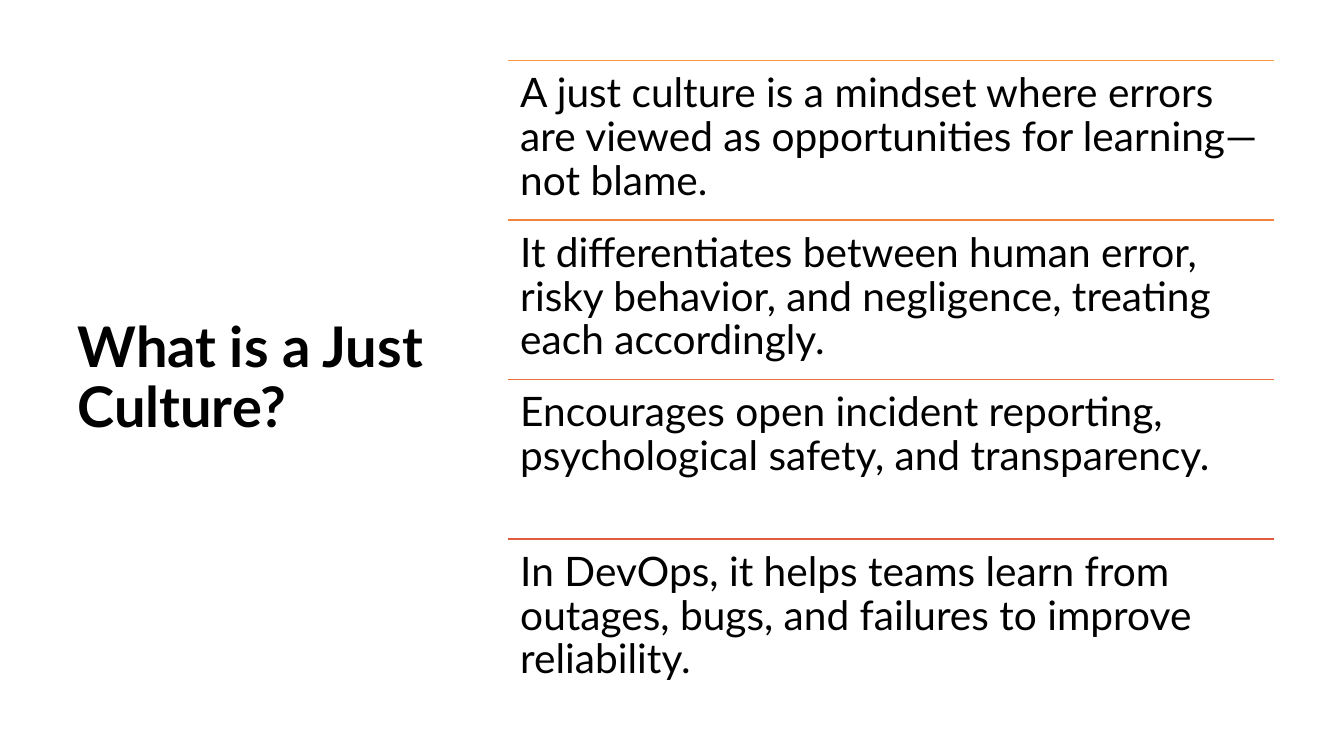
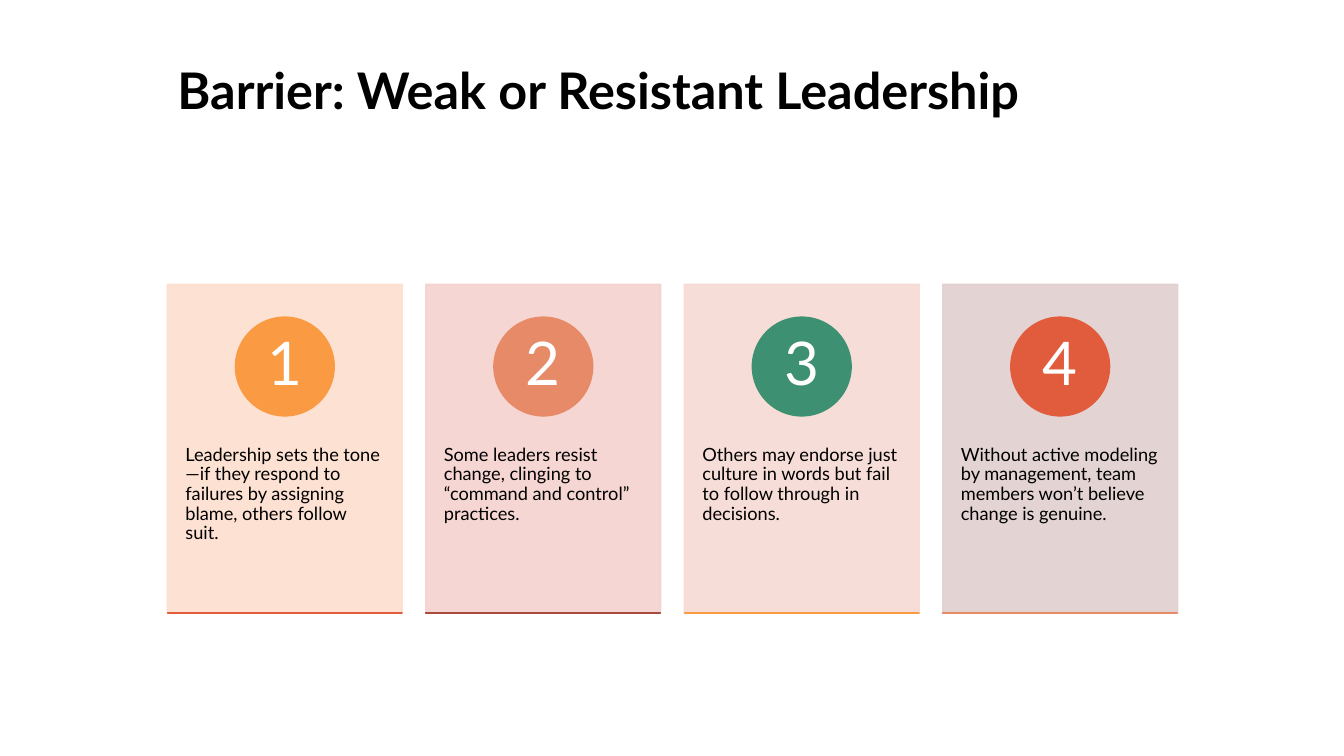
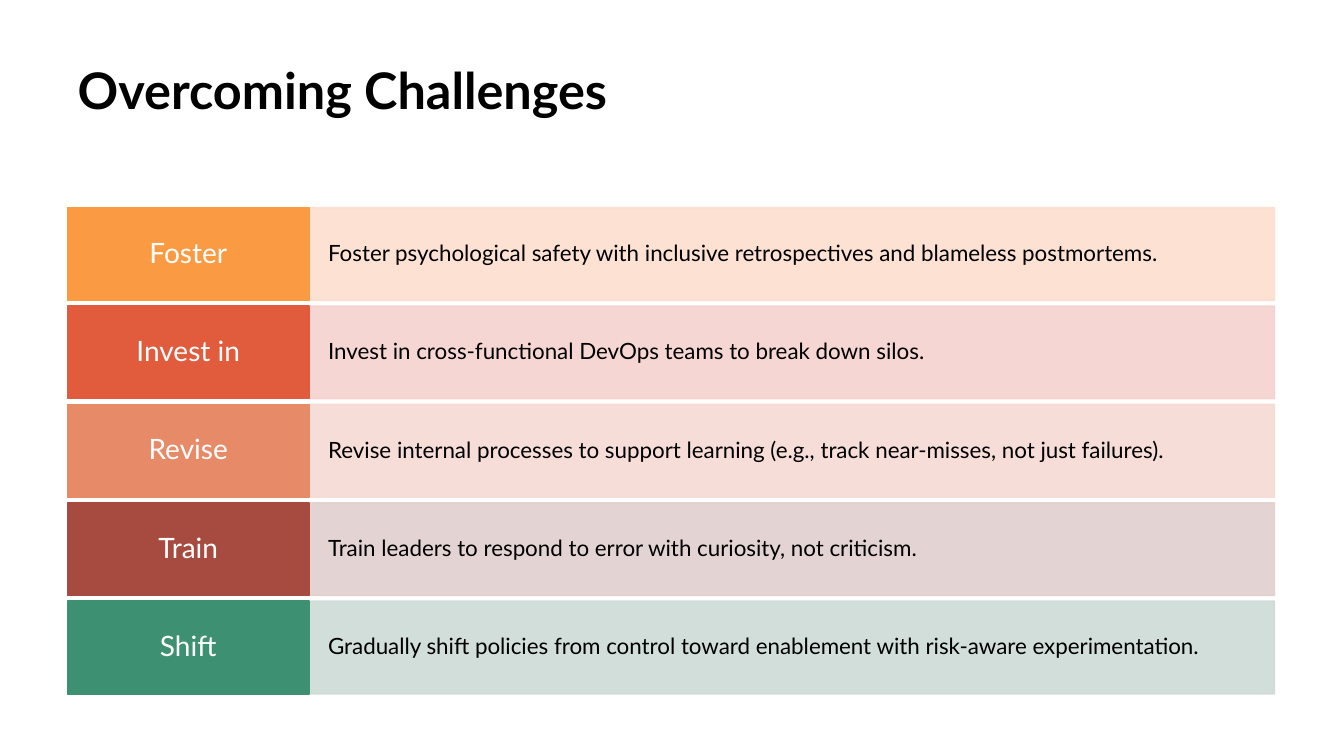
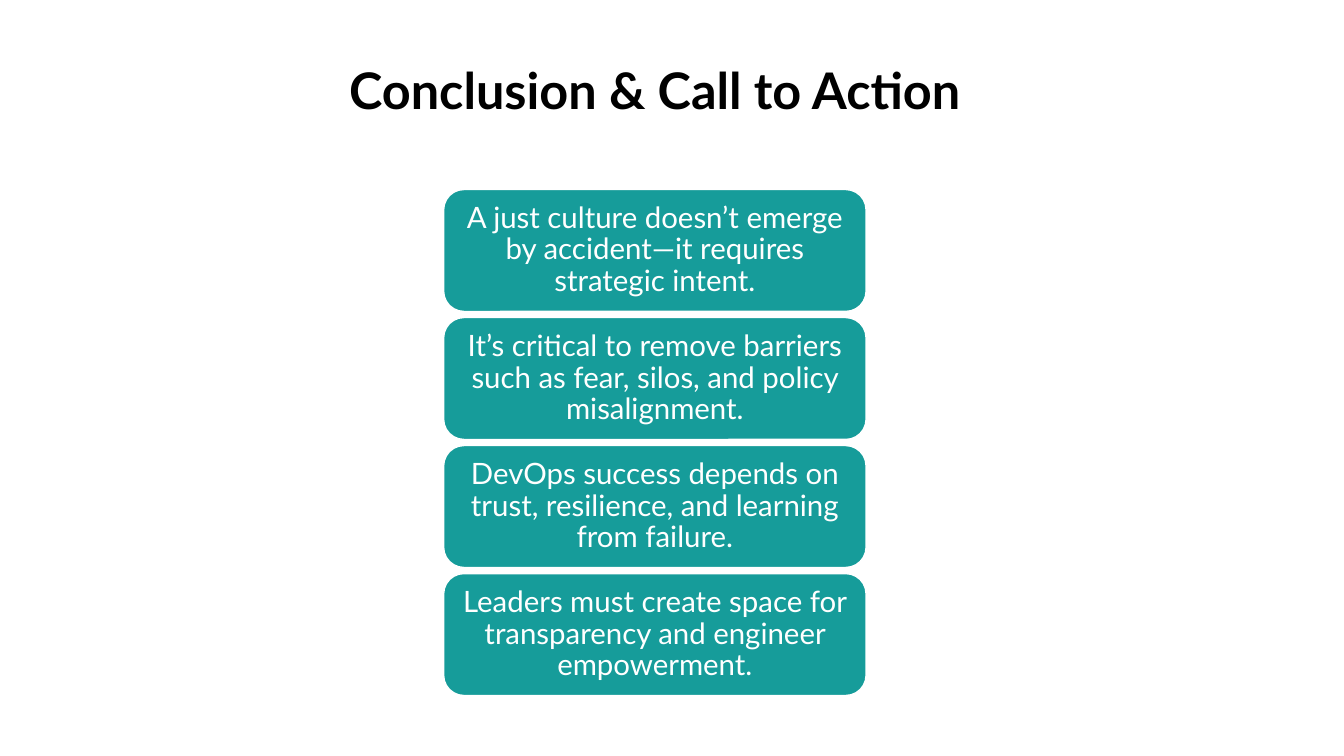
from lxml.etree import SubElement
from pptx import Presentation
from pptx.dml.color import RGBColor
from pptx.enum.shapes import MSO_CONNECTOR, MSO_SHAPE
from pptx.enum.text import MSO_ANCHOR, MSO_AUTO_SIZE, PP_ALIGN
from pptx.oxml.ns import qn
from pptx.util import Emu, Inches, Pt

FONT = "Lato"
BLACK = RGBColor(0x00, 0x00, 0x00)
WHITE = RGBColor(0xFF, 0xFF, 0xFF)
ORANGE = RGBColor(0xFA, 0x9A, 0x42)
AMBER = RGBColor(0xF2, 0x84, 0x40)
CORAL = RGBColor(0xEA, 0x6F, 0x3E)
RED = RGBColor(0xE1, 0x5C, 0x3D)
SALMON = RGBColor(0xE7, 0x8A, 0x67)
BRICK = RGBColor(0xA7, 0x4B, 0x40)
GREEN = RGBColor(0x3D, 0x90, 0x72)
TEAL = RGBColor(0x16, 0x9C, 0x9A)
PALE_ORANGE = RGBColor(0xFD, 0xDE, 0xCF)
PALE_RED = RGBColor(0xF4, 0xD2, 0xCE)
PALE_SALMON = RGBColor(0xF6, 0xDA, 0xD3)
PALE_BRICK = RGBColor(0xE1, 0xD0, 0xCF)
PALE_GREEN = RGBColor(0xCE, 0xDB, 0xD5)

WIDTH, HEIGHT = 13.33, 7.5
MARGIN, TOP = 0.67, 0.6
RIGHT = 12.64
TITLE_HEIGHT = 1.24

DEFINITION = [
    ("A just culture is a mindset where errors are viewed as opportunities "
     "for learning—not blame.", ORANGE),
    ("It differentiates between human error, risky behavior, and negligence, "
     "treating each accordingly.", AMBER),
    ("Encourages open incident reporting, psychological safety, and "
     "transparency.", CORAL),
    ("In DevOps, it helps teams learn from outages, bugs, and failures to "
     "improve reliability.", RED),
]
# Text, card colour, badge colour, base line colour
BARRIERS = [
    ("Leadership sets the tone—if they respond to failures by assigning "
     "blame, others follow suit.", PALE_ORANGE, ORANGE, RED),
    ("Some leaders resist change, clinging to “command and control” "
     "practices.", PALE_RED, SALMON, BRICK),
    ("Others may endorse just culture in words but fail to follow through in "
     "decisions.", PALE_SALMON, GREEN, ORANGE),
    ("Without active modeling by management, team members won’t believe "
     "change is genuine.", PALE_BRICK, RED, SALMON),
]
# Action, explanation, action colour, explanation colour
ACTIONS = [
    ("Foster", "Foster psychological safety with inclusive retrospectives and "
     "blameless postmortems.", ORANGE, PALE_ORANGE),
    ("Invest in", "Invest in cross-functional DevOps teams to break down "
     "silos.", RED, PALE_RED),
    ("Revise", "Revise internal processes to support learning (e.g., track "
     "near-misses, not just failures).", SALMON, PALE_SALMON),
    ("Train", "Train leaders to respond to error with curiosity, not "
     "criticism.", BRICK, PALE_BRICK),
    ("Shift", "Gradually shift policies from control toward enablement with "
     "risk-aware experimentation.", GREEN, PALE_GREEN),
]
CONCLUSIONS = [
    "A just culture doesn’t emerge by accident—it requires strategic intent.",
    "It’s critical to remove barriers such as fear, silos, and policy "
    "misalignment.",
    "DevOps success depends on trust, resilience, and learning from failure.",
    "Leaders must create space for transparency and engineer empowerment.",
]


def write(shape, text, size, color=BLACK, align=PP_ALIGN.LEFT,
          anchor=MSO_ANCHOR.TOP, insets=(0.1, 0.05, 0.1, 0.05), bold=False):
    frame = shape.text_frame
    frame.word_wrap = True
    frame.auto_size = MSO_AUTO_SIZE.NONE
    frame.vertical_anchor = anchor
    (frame.margin_left, frame.margin_top,
     frame.margin_right, frame.margin_bottom) = map(Inches, insets)
    frame.text = text
    paragraph = frame.paragraphs[0]
    paragraph.alignment = align
    paragraph.line_spacing = 0.9
    paragraph.font.name = FONT
    paragraph.font.size = Pt(size)
    paragraph.font.bold = bold
    paragraph.font.color.rgb = color


def add_titled_slide(deck, title, left, width, height=TITLE_HEIGHT, size=36,
                     **style):
    slide = deck.slides.add_slide(deck.slide_layouts[5])
    heading = slide.shapes.title
    heading.left, heading.top = Inches(left), Inches(TOP)
    heading.width, heading.height = Inches(width), Inches(height)
    write(heading, title, size, bold=True, **style)
    return slide


def add_block(slide, kind, left, top, width, height, color, outline=None,
              opacity=100):
    block = slide.shapes.add_shape(
        kind, *map(Inches, (left, top, width, height)))
    block.shadow.inherit = False
    block.fill.solid()
    block.fill.fore_color.rgb = color
    block.line.color.rgb = outline or color
    block.line.width = Pt(1)
    if opacity < 100:
        for tint in block._element.spPr.iter(qn("a:srgbClr")):
            SubElement(tint, qn("a:alpha")).set("val", str(opacity * 1000))
    return block


def add_rule(slide, left, right, y, color):
    rule = slide.shapes.add_connector(
        MSO_CONNECTOR.STRAIGHT, *map(Inches, (left, y, right, y)))
    rule.line.color.rgb = color
    rule.line.width = Pt(1)
    SubElement(rule._element.spPr, qn("a:effectLst"))


def build_definition(deck):
    height = 6.33
    slide = add_titled_slide(deck, "What is a Just Culture?", MARGIN, 3.82,
                             height, 40, anchor=MSO_ANCHOR.MIDDLE)
    left = 5.04
    row = height / len(DEFINITION)
    for i, (text, color) in enumerate(DEFINITION):
        top = TOP + i * row
        add_rule(slide, left, RIGHT, top, color)
        statement = slide.shapes.add_textbox(
            *map(Inches, (left, top, RIGHT - left, row)))
        write(statement, text, 29, insets=(0.12,) * 4)


def build_barriers(deck):
    left, width = 1.66, 10.02
    slide = add_titled_slide(deck, "Barrier: Weak or Resistant Leadership",
                             left, width)
    top, card_width, card_height, badge = 2.82, 2.33, 3.26, 0.98
    step = (width - card_width) / (len(BARRIERS) - 1)
    for i, (text, pale, strong, base) in enumerate(BARRIERS):
        x = left + i * step
        card = add_block(slide, MSO_SHAPE.RECTANGLE, x, top, card_width,
                         card_height, pale, opacity=90)
        write(card, text, 13, insets=(0.18, 1.6, 0.18, 0.36))
        number = add_block(slide, MSO_SHAPE.OVAL, x + (card_width - badge) / 2,
                           top + card_height / 10, badge, badge, strong)
        write(number, str(i + 1), 43, WHITE, PP_ALIGN.CENTER,
              MSO_ANCHOR.MIDDLE, (0.08, 0.01, 0.08, 0.01))
        hairline = add_block(slide, MSO_SHAPE.RECTANGLE, x,
                             top + card_height, card_width, 0, base)
        hairline.height = Emu(72)


def build_actions(deck):
    slide = add_titled_slide(deck, "Overcoming Challenges", MARGIN,
                             RIGHT - MARGIN)
    top, step, height = 2.06, 0.976, 0.92
    label_width = (RIGHT - MARGIN) / 5
    split = MARGIN + label_width
    for i, (action, text, strong, pale) in enumerate(ACTIONS):
        y = top + i * step
        detail = add_block(slide, MSO_SHAPE.RECTANGLE, split, y,
                           RIGHT - split, height, pale, opacity=90)
        write(detail, text, 16, anchor=MSO_ANCHOR.MIDDLE,
              insets=(0.19, 0.23, 0.19, 0.23))
        label = add_block(slide, MSO_SHAPE.RECTANGLE, MARGIN, y, label_width,
                          height, strong)
        write(label, action, 20, WHITE, PP_ALIGN.CENTER, MSO_ANCHOR.MIDDLE,
              (0.13, 0.09, 0.13, 0.09))


def build_conclusion(deck):
    title_width = 11.65
    slide = add_titled_slide(deck, "Conclusion & Call to Action", MARGIN,
                             title_width, align=PP_ALIGN.CENTER)
    width, height, gap = 4.19, 1.21, 0.06
    left = MARGIN + (title_width - width) / 2
    for i, text in enumerate(CONCLUSIONS):
        point = add_block(slide, MSO_SHAPE.ROUNDED_RECTANGLE, left,
                          1.88 + i * (height + gap), width, height, TEAL,
                          outline=WHITE)
        write(point, text, 21, WHITE, PP_ALIGN.CENTER, MSO_ANCHOR.MIDDLE,
              (0.09, 0.04, 0.09, 0.04))


def main():
    deck = Presentation()
    deck.slide_width, deck.slide_height = Inches(WIDTH), Inches(HEIGHT)
    for build in (build_definition, build_barriers, build_actions,
                  build_conclusion):
        build(deck)
    deck.save("out.pptx")


if __name__ == "__main__":
    main()
